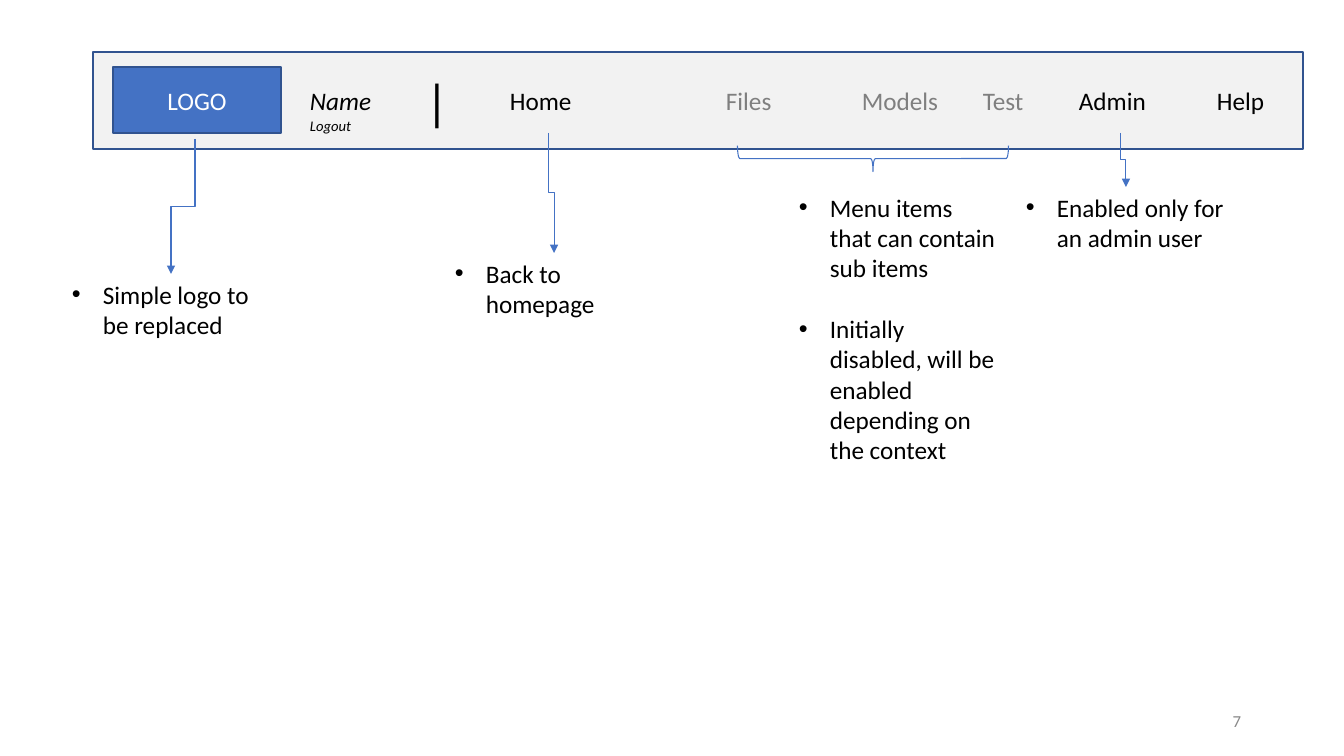
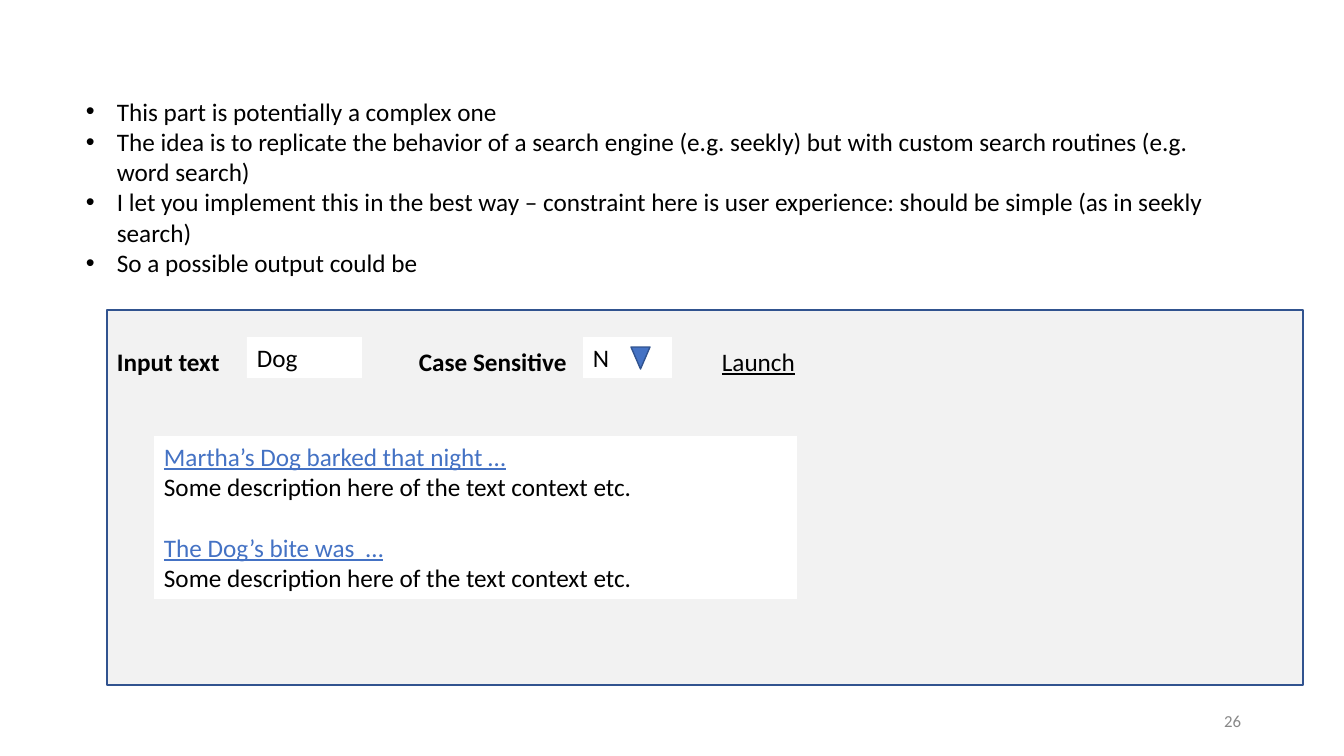
from dataclasses import dataclass
from typing import Optional, Sequence

from lxml.etree import SubElement
from pptx import Presentation
from pptx.dml.color import RGBColor
from pptx.enum.shapes import MSO_CONNECTOR, MSO_SHAPE
from pptx.enum.text import MSO_ANCHOR, PP_ALIGN
from pptx.oxml.ns import qn
from pptx.util import Emu, Pt

EMU_PER_PIXEL = 914400 / 100.8
FONT = "Calibri"
BODY_SIZE = 18
BLANK_LINE = 22
BULLET_INDENT = 31
MENU_TOP, MENU_HEIGHT = 67, 66
NOTE_WIDTH, NOTE_HEIGHT = 219, 66
COLORS = {
    "text": "000000",
    "disabled": "7F7F7F",
    "footer": "888888",
    "white": "FFFFFF",
    "panel": "F2F2F2",
    "accent": "4472C4",
    "outline": "31538F",
}


@dataclass(frozen=True)
class Box:
    """A rectangle in pixels."""
    left: int
    top: int
    width: int
    height: int


@dataclass(frozen=True)
class Style:
    """The look of a run of text."""
    color: str = "text"
    size: float = BODY_SIZE
    bold: bool = False
    italic: bool = False
    underline: bool = False


@dataclass(frozen=True)
class Line:
    """A paragraph with its look and the space above it in points."""
    text: str
    style: Style = Style()
    bullet: bool = False
    space_before: int = 0
    align: PP_ALIGN = PP_ALIGN.LEFT


@dataclass(frozen=True)
class MenuItem:
    """A label of the menu bar."""
    left: int
    width: int
    line: Line
    drop: int = 0


@dataclass(frozen=True)
class Note:
    """Bulleted remarks below the menu bar."""
    left: int
    top: int
    lines: Sequence[Line]


@dataclass(frozen=True)
class Arrow:
    """An elbow arrow that leaves downwards."""
    start_x: int
    start_y: int
    end_x: int
    end_y: int


BODY = Style()
DISABLED = Style(color="disabled")
ITALIC = Style(italic=True)
RESULT_LINK = Style(color="accent", underline=True)

MENU_ITEMS = (
    MenuItem(300, 84, Line("Name", ITALIC)),
    MenuItem(300, 84, Line("Logout", Style(size=10.5, italic=True)), drop=26),
    MenuItem(404, 66, Line("|", Style(size=36), align=PP_ALIGN.CENTER)),
    MenuItem(500, 96, Line("Home")),
    MenuItem(716, 141, Line("Files", DISABLED)),
    MenuItem(852, 141, Line("Models", DISABLED)),
    MenuItem(973, 102, Line("Test", DISABLED)),
    MenuItem(1069, 95, Line("Admin")),
    MenuItem(1207, 71, Line("Help")),
)
NOTES = (
    Note(62, 274, [Line("Simple logo to be replaced", bullet=True)]),
    Note(445, 253, [Line("Back to homepage", bullet=True)]),
    Note(789, 187, [
        Line("Menu items that can contain sub items", bullet=True),
        Line("Initially disabled, will be enabled depending on the context",
             bullet=True, space_before=BLANK_LINE),
    ]),
    Note(1016, 187, [Line("Enabled only for an admin user", bullet=True)]),
)
ARROWS = (
    Arrow(195, 139, 171, 274),
    Arrow(548, 133, 554, 253),
    Arrow(1121, 133, 1126, 187),
)
SEARCH_POINTS = (
    "This part is potentially a complex one",
    "The idea is to replicate the behavior of a search engine (e.g. seekly) "
    "but with custom search routines (e.g. word search)",
    "I let you implement this in the best way – constraint here is user "
    "experience: should be simple (as in seekly search)",
    "So a possible output could be",
)
RESULT_TITLES = ("Martha’s Dog barked that night …", "The Dog’s bite was  …")
RESULT_DESCRIPTION = "Some description here of the text context etc."


def px(pixels: float) -> Emu:
    """Turn pixels into EMU."""
    return Emu(round(pixels * EMU_PER_PIXEL))


def place(box: Box) -> tuple:
    """Return the four lengths of a box in EMU."""
    return px(box.left), px(box.top), px(box.width), px(box.height)


def rgb(name: str) -> RGBColor:
    """Look up a colour by name."""
    return RGBColor.from_string(COLORS[name])


def format_run(run, style: Style) -> None:
    """Apply a style to a run."""
    font = run.font
    font.name = FONT
    font.size = Pt(style.size)
    font.bold = style.bold
    font.italic = style.italic
    font.underline = style.underline
    font.color.rgb = rgb(style.color)


def add_bullet(paragraph) -> None:
    """Give a paragraph a hanging bullet."""
    properties = paragraph._p.get_or_add_pPr()
    properties.set("marL", str(px(BULLET_INDENT)))
    properties.set("indent", str(-px(BULLET_INDENT)))
    SubElement(properties, qn("a:buFont")).set("typeface", "Arial")
    SubElement(properties, qn("a:buChar")).set("char", "•")


def add_tab_stops(paragraph, positions: Sequence[int]) -> None:
    """Set left tab stops, in pixels from the text edge."""
    properties = paragraph._p.get_or_add_pPr()
    tab_list = SubElement(properties, qn("a:tabLst"))
    for position in positions:
        tab = SubElement(tab_list, qn("a:tab"))
        tab.set("pos", str(px(position)))
        tab.set("algn", "l")


def write(shape, lines: Sequence[Line], anchor=MSO_ANCHOR.TOP) -> None:
    """Fill a shape with paragraphs."""
    text_frame = shape.text_frame
    text_frame.word_wrap = True
    text_frame.vertical_anchor = anchor
    text_frame.text = "\n".join(line.text for line in lines)
    for paragraph, line in zip(text_frame.paragraphs, lines):
        paragraph.alignment = line.align
        paragraph.space_before = Pt(line.space_before)
        if line.bullet:
            add_bullet(paragraph)
        for run in paragraph.runs:
            format_run(run, line.style)


def add_text(slide, box: Box, lines: Sequence[Line], anchor=MSO_ANCHOR.TOP) -> None:
    """Add a text box."""
    write(slide.shapes.add_textbox(*place(box)), lines, anchor)


def add_shape(slide, kind: MSO_SHAPE, box: Box, fill: Optional[str] = None,
              line: Optional[str] = None, line_width: float = 1):
    """Add a preset shape without shadow."""
    shape = slide.shapes.add_shape(kind, *place(box))
    shape.shadow.inherit = False
    if fill:
        shape.fill.solid()
        shape.fill.fore_color.rgb = rgb(fill)
    else:
        shape.fill.background()
    if line:
        shape.line.color.rgb = rgb(line)
        shape.line.width = Pt(line_width)
    else:
        shape.line.fill.background()
    return shape


def add_panel(slide, box: Box):
    """Add the grey outlined panel of the mock-ups."""
    return add_shape(slide, MSO_SHAPE.RECTANGLE, box, "panel", "outline")


def add_field(slide, box: Box, lines: Sequence[Line]) -> None:
    """Add a white field with text."""
    write(add_shape(slide, MSO_SHAPE.RECTANGLE, box, "white"), lines)


def add_arrow(slide, arrow: Arrow) -> None:
    """Add an elbow arrow, turned so that it starts and ends vertically."""
    center_x = (arrow.start_x + arrow.end_x) / 2
    center_y = (arrow.start_y + arrow.end_y) / 2
    turns_right = arrow.end_x > arrow.start_x
    half_length = (arrow.end_y - arrow.start_y) / 2
    half_shift = abs(arrow.end_x - arrow.start_x) / 2
    reach = -half_length if turns_right else half_length
    connector = slide.shapes.add_connector(
        MSO_CONNECTOR.ELBOW, px(center_x - reach), px(center_y - half_shift),
        px(center_x + reach), px(center_y + half_shift))
    connector.line.color.rgb = rgb("accent")
    connector.line.width = Pt(0.75)
    properties = connector._element.spPr
    degrees = 270 if turns_right else 90
    properties.find(qn("a:xfrm")).set("rot", str(degrees * 60000))
    SubElement(properties.find(qn("a:ln")), qn("a:tailEnd")).set("type", "triangle")
    SubElement(properties, qn("a:effectLst"))


def add_slide(presentation, number: int):
    """Add a blank slide with its page number."""
    slide = presentation.slides.add_slide(presentation.slide_layouts[6])
    line = Line(str(number), Style("footer", 12), align=PP_ALIGN.RIGHT)
    add_text(slide, Box(949, 701, 302, 40), [line], MSO_ANCHOR.MIDDLE)
    return slide


def build_menu_slide(presentation) -> None:
    """Draw the menu bar and its remarks."""
    slide = add_slide(presentation, 7)
    add_panel(slide, Box(93, 52, 1210, 97))
    logo = add_shape(slide, MSO_SHAPE.RECTANGLE,
                     Box(113, MENU_TOP, 168, MENU_HEIGHT), "accent", "outline")
    write(logo, [Line("LOGO", Style("white"), align=PP_ALIGN.CENTER)], MSO_ANCHOR.MIDDLE)
    for item in MENU_ITEMS:
        box = Box(item.left, MENU_TOP + item.drop, item.width, MENU_HEIGHT)
        add_text(slide, box, [item.line], MSO_ANCHOR.MIDDLE)
    brace = add_shape(slide, MSO_SHAPE.LEFT_BRACE, Box(860, 23, 26, 271),
                      line="accent", line_width=0.75)
    brace.rotation = 270
    for note in NOTES:
        add_text(slide, Box(note.left, note.top, NOTE_WIDTH, NOTE_HEIGHT), note.lines)
    for arrow in ARROWS:
        add_arrow(slide, arrow)


def build_search_slide(presentation) -> None:
    """Draw the search remarks and the mock-up of the result page."""
    slide = add_slide(presentation, 26)
    add_text(slide, Box(76, 91, 1175, 193),
             [Line(point, bullet=True) for point in SEARCH_POINTS])
    panel = add_panel(slide, Box(107, 310, 1196, 375))
    write(panel, [Line("Input text\tCase Sensitive\t", Style(bold=True))])
    panel.text_frame.margin_top = px(36)
    labels = panel.text_frame.paragraphs[0]
    add_tab_stops(labels, (302, 605))
    launch = labels.add_run()
    launch.text = "Launch"
    format_run(launch, Style(underline=True))

    add_field(slide, Box(247, 337, 115, 41), [Line("Dog")])
    add_field(slide, Box(583, 337, 89, 41), [Line("N")])
    arrowhead = add_shape(slide, MSO_SHAPE.ISOSCELES_TRIANGLE,
                          Box(631, 347, 19, 22), "accent", "outline")
    arrowhead.rotation = 180
    results = []
    for index, title in enumerate(RESULT_TITLES):
        results.append(Line(title, RESULT_LINK, space_before=BLANK_LINE if index else 0))
        results.append(Line(RESULT_DESCRIPTION, BODY))
    add_field(slide, Box(154, 436, 643, 163), results)


presentation = Presentation()
presentation.slide_width, presentation.slide_height = px(1344), px(756)
build_menu_slide(presentation)
build_search_slide(presentation)
presentation.save("out.pptx")
